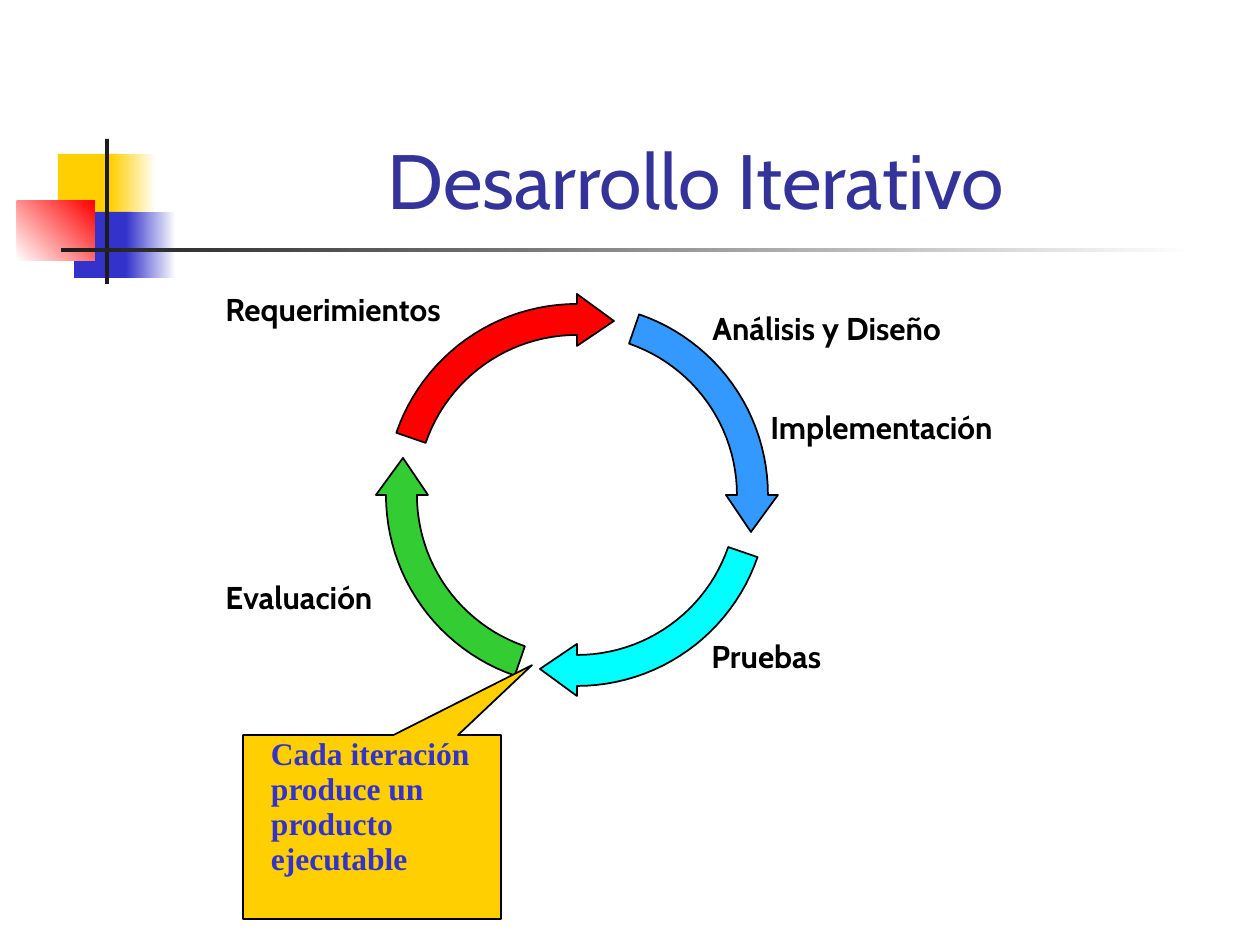
"""Builds the iterative development cycle slide."""
from math import cos, radians, sin

from pptx import Presentation
from pptx.dml.color import RGBColor
from pptx.enum.shapes import MSO_SHAPE
from pptx.enum.text import MSO_ANCHOR, PP_ALIGN
from pptx.util import Pt

PX = 914400 / 126
THEME = {
    "yellow": "FFCF01", "navy": "3333CC", "red": "FF0000", "white": "FFFFFF",
    "ink": "1C1C1C", "black": "000000", "blue": "3399FF", "cyan": "00FFFF",
    "green": "33CC33", "title": "333399",
    "title_font": {"name": "Cabin", "size": Pt(44), "bold": False},
    "label_font": {"name": "Cabin", "size": Pt(18), "bold": True},
    "note_font": {"name": "Times New Roman", "size": Pt(18), "bold": True},
}


def paint(sp, fill, line=None):
    sp.shadow.inherit = False
    sp.fill.solid()
    sp.fill.fore_color.rgb = RGBColor.from_string(THEME[fill])
    if line:
        sp.line.color.rgb = RGBColor.from_string(THEME[line])
        sp.line.width = Pt(1)
    else:
        sp.line.fill.background()


def write(p, text, font, color):
    p.text = text
    for r in p.runs:
        for key, value in THEME[font].items():
            setattr(r.font, key, value)
        r.font.color.rgb = RGBColor.from_string(THEME[color])


prs = Presentation()
prs.slide_width, prs.slide_height = round(1260 * PX), round(945 * PX)
s = prs.slides.add_slide(prs.slide_layouts[5])

ornaments = [
    ((58, 154, 60, 66), "yellow", None, 0),
    ((111, 154, 45, 66), "yellow", "white", 0),
    ((74, 212, 58, 66), "navy", None, 0),
    ((126, 212, 50, 66), "navy", "white", 0),
    ((17, 201, 78, 60), "white", "red", 45),
    ((105, 139, 4, 145), "ink", None, 0),
    ((61, 248, 1134, 4), "ink", "white", 0),
]
for box, color, fade, angle in ornaments:
    sp = s.shapes.add_shape(MSO_SHAPE.RECTANGLE, *(round(v * PX) for v in box))
    paint(sp, color)
    if fade:
        sp.fill.gradient()
        sp.fill.gradient_angle = angle
        for stop, name in zip(sp.fill.gradient_stops, (color, fade)):
            stop.color.rgb = RGBColor.from_string(THEME[name])

title = s.shapes.title
title.left, title.top, title.width, title.height = (
    round(v * PX) for v in (159, 29, 1074, 202))
title.text_frame.vertical_anchor = MSO_ANCHOR.BOTTOM
p = title.text_frame.paragraphs[0]
p.alignment = PP_ALIGN.CENTER
write(p, "Desarrollo Iterativo", "title_font", "title")

CX, CY, OUTER, INNER = 577, 495, 191, 160
HEAD = [(0, 149), (37, 174), (0, 201)]
START, SWEEP, STEPS = 199, 71, 24
for turn, color in enumerate(["red", "blue", "cyan", "green"]):
    angles = [radians(START + 90 * turn + SWEEP * i / STEPS) for i in range(STEPS + 1)]
    inner = [(CX + INNER * cos(a), CY + INNER * sin(a)) for a in angles]
    outer = [(CX + OUTER * cos(a), CY + OUTER * sin(a)) for a in angles]
    end = angles[-1]
    head = [(CX + rad * cos(end) - ahead * sin(end),
             CY + rad * sin(end) + ahead * cos(end)) for ahead, rad in HEAD]
    pts = [(x * PX, y * PX) for x, y in inner + head + outer[::-1]]
    fb = s.shapes.build_freeform(*pts[0])
    fb.add_line_segments(pts[1:], close=True)
    paint(fb.convert_to_shape(), color, "black")

labels = [
    ("Requerimientos", 213, 284, 276),
    ("Análisis y Diseño", 700, 303, 291),
    ("Implementación", 758, 402, 285),
    ("Pruebas", 699, 631, 154),
    ("Evaluación", 213, 572, 195),
]
for text, x, y, w in labels:
    tb = s.shapes.add_textbox(*(round(v * PX) for v in (x, y, w, 50)))
    tb.text_frame.word_wrap = False
    write(tb.text_frame.paragraphs[0], text, "label_font", "black")

callout = s.shapes.add_shape(
    MSO_SHAPE.RECTANGULAR_CALLOUT, *(round(v * PX) for v in (243, 735, 258, 184)))
callout.adjustments[0], callout.adjustments[1] = 0.62, -0.88
paint(callout, "yellow", "black")

note = s.shapes.add_textbox(*(round(v * PX) for v in (266, 732, 246, 150)))
tf = note.text_frame
tf.word_wrap = True
for side in ("left", "top", "right", "bottom"):
    setattr(tf, f"margin_{side}", round(5 * PX))
p = tf.paragraphs[0]
p.line_spacing, p.space_before = Pt(20), Pt(9)
write(p, "Cada iteración\vproduce un producto ejecutable", "note_font", "navy")

prs.save("out.pptx")
